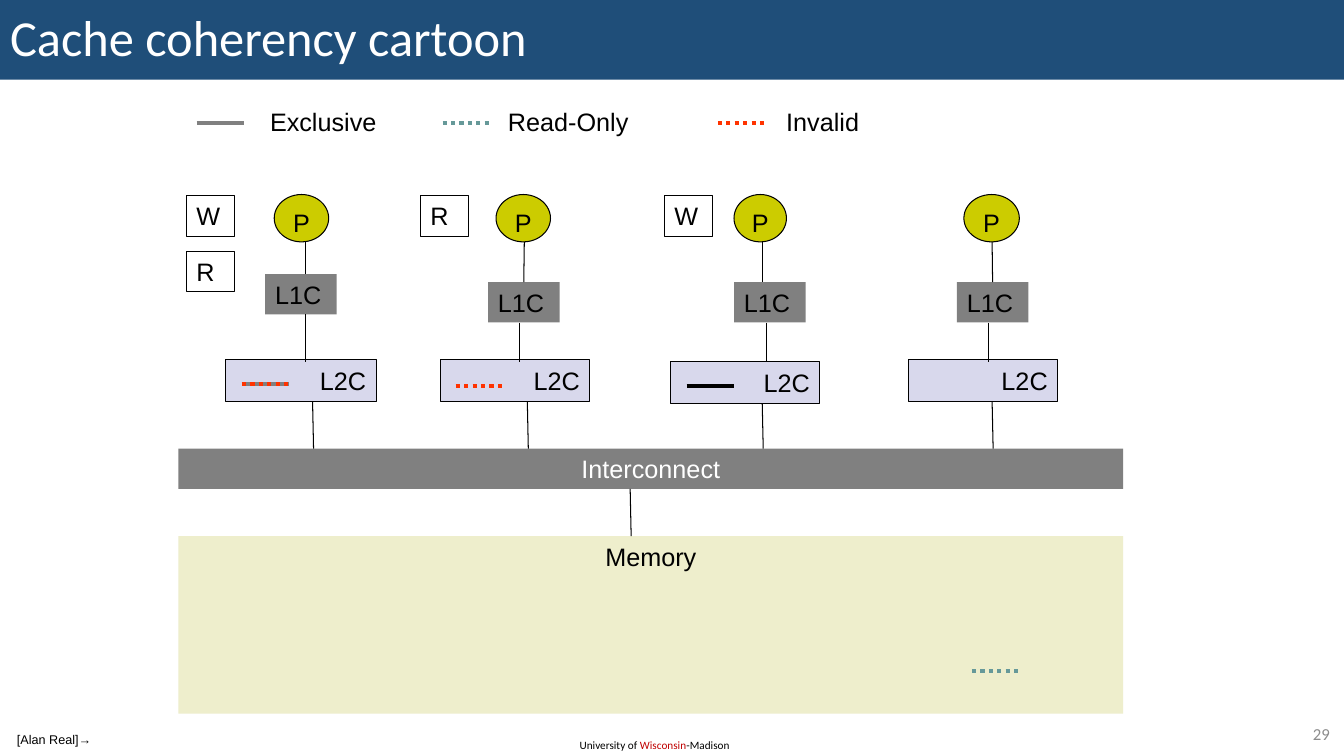
from lxml import etree
from pptx import Presentation
from pptx.dml.color import RGBColor
from pptx.enum.dml import MSO_LINE as Dash
from pptx.enum.shapes import MSO_CONNECTOR as Wire, MSO_SHAPE as Shape
from pptx.enum.text import MSO_ANCHOR as Anchor, PP_ALIGN as Align
from pptx.oxml.ns import qn
from pptx.util import Inches, Pt

BLACK, WHITE, GRAY = "000000", "FFFFFF", "808080"
TEAL, RED = "669999", "FF3300"
L1_WIDTH, LABEL_HEIGHT, L2_HEIGHT = 0.71, 0.4, 0.41
CIRCLE_TOP, CIRCLE_HEIGHT = 1.93, 0.47
BUS_LEFT, BUS_WIDTH, BUS_TOP = 1.77, 9.37, 4.45
MARK_LENGTH = 0.47

deck = Presentation()
deck.slide_width, deck.slide_height = Inches(13.33), Inches(7.5)
page = deck.slides.add_slide(deck.slide_layouts[5])


def add_box(text, left, top, width, height, shape=Shape.RECTANGLE, fill=None,
            line=None, size=18, font="Arial", color=BLACK, align=Align.LEFT,
            anchor=Anchor.TOP, wrap=True, box=None):
    """Add a labelled shape, or format the given one; text may be (text, colour) pairs."""
    area = [Inches(n) for n in (left, top, width, height)]
    if box is None:
        box = page.shapes.add_shape(shape, *area) if fill else page.shapes.add_textbox(*area)
    box.left, box.top, box.width, box.height = area
    if fill:
        box.fill.solid()
        box.fill.fore_color.rgb = RGBColor.from_string(fill)
        if line:
            box.line.color.rgb = RGBColor.from_string(BLACK)
            box.line.width = Pt(line)
        else:
            box.line.fill.background()
        if not box.is_placeholder:
            box.shadow.inherit = False
    frame = box.text_frame
    frame.word_wrap = wrap
    frame.vertical_anchor = anchor
    para = frame.paragraphs[0]
    para.alignment = align
    for words, shade in [(text, color)] if isinstance(text, str) else text:
        span = para.add_run()
        span.text = words
        span.font.size, span.font.name = Pt(size), font
        span.font.color.rgb = RGBColor.from_string(shade)
    return box


def add_line(x1, y1, x2, y2, color=BLACK, width=0.75, dash=None):
    line = page.shapes.add_connector(Wire.STRAIGHT, *[Inches(n) for n in (x1, y1, x2, y2)])
    line.line.color.rgb = RGBColor.from_string(color)
    line.line.width = Pt(width)
    if dash:
        line.line.dash_style = dash
    etree.SubElement(line._element.spPr, qn("a:effectLst"))
    return line


# Title and footer
title = add_box("Cache coherency cartoon", 0, 0, 13.33, 0.79, fill="1F4E79", size=36,
                font="Calibri", color=WHITE, anchor=Anchor.MIDDLE, box=page.shapes.title)
title.text_frame.paragraphs[0].line_spacing = 0.9
add_box([("University of ", BLACK), ("Wisconsin", "C00000"), ("-Madison", BLACK)],
        5.65, 7.28, 1.72, 0.24, size=8, font="Calibri")
add_box("29", 12.53, 7.13, 0.76, 0.29, size=12, font="Calibri", color="8C8C8C",
        align=Align.RIGHT, anchor=Anchor.MIDDLE)
add_box("[Alan Real]→", 0.07, 7.21, 0.94, 0.25, size=9, wrap=False)

# Legend
for label, label_left in (("Exclusive", 2.58), ("Read-Only", 4.94), ("Invalid", 7.7)):
    add_box(label, label_left, 1.01, 1.5, LABEL_HEIGHT)

# Interconnect and memory
add_box("Interconnect", BUS_LEFT, BUS_TOP, BUS_WIDTH, LABEL_HEIGHT, fill=GRAY,
        color=WHITE, align=Align.CENTER)
add_box("Memory", BUS_LEFT, 5.32, BUS_WIDTH, 1.76, fill="EEEECC", align=Align.CENTER)
add_line(6.25, 4.85, 6.26, 5.32)

# Processors: circle left and width, L1 left and top, L2 left, top and width,
# then the x of the wires above L1, below L1 and below L2
processors = [
    (2.72, 0.54, 2.63, 2.72, 2.24, 3.57, 1.49, 3.03, 3.03, 3.1),
    (4.92, 0.54, 4.84, 2.8, 4.37, 3.57, 1.48, 5.2, 5.15, 5.23),
    (7.28, 0.52, 7.28, 2.8, 6.65, 3.59, 1.48, 7.56, 7.6, 7.56),
    (9.56, 0.55, 9.49, 2.8, 9.01, 3.57, 1.48, 9.84, 9.8, 9.84),
]
for (circle_left, circle_width, l1_left, l1_top, l2_left, l2_top, l2_width,
     upper_x, middle_x, lower_x) in processors:
    circle = add_box("P", circle_left, CIRCLE_TOP, circle_width, CIRCLE_HEIGHT, Shape.OVAL,
                     fill="CCCC00", line=0.75, align=Align.CENTER, anchor=Anchor.MIDDLE,
                     wrap=False)
    frame = circle.text_frame
    frame.margin_left = frame.margin_right = frame.margin_bottom = 0
    frame.margin_top = Inches(0.09)
    l1_cache = add_box("L1C", l1_left, l1_top, L1_WIDTH, LABEL_HEIGHT, fill=GRAY)
    add_box("L2C", l2_left, l2_top, l2_width, L2_HEIGHT, fill="D8D8EC", line=0.75,
            align=Align.RIGHT)
    upper_wire = add_line(upper_x, CIRCLE_TOP + CIRCLE_HEIGHT, upper_x, l1_top)
    if abs(upper_x - l1_left - L1_WIDTH / 2) < 0.02:
        upper_wire.end_connect(l1_cache, 0)
    add_line(middle_x, l1_top + LABEL_HEIGHT, middle_x, 3.59)
    add_line(lower_x, l2_top + L2_HEIGHT, lower_x + 0.01, BUS_TOP)

# Read and write requests
for request, left, top in (("W", 1.85, 1.94), ("R", 1.85, 2.49),
                           ("R", 4.17, 1.94), ("W", 6.59, 1.94)):
    add_box(request, left, top, 0.47, LABEL_HEIGHT, fill=WHITE, line=0.25)

# Cache line states: legend, L2 caches, memory
for left, y, color, dash in (
        (1.95, 1.22, GRAY, None), (4.39, 1.22, TEAL, Dash.ROUND_DOT),
        (7.12, 1.22, RED, Dash.ROUND_DOT), (2.4, 3.81, GRAY, None),
        (2.4, 3.81, RED, Dash.ROUND_DOT), (4.52, 3.83, RED, Dash.ROUND_DOT),
        (6.81, 3.83, BLACK, None), (9.64, 6.66, TEAL, Dash.ROUND_DOT)):
    add_line(left, y, left + MARK_LENGTH, y, color, 3, dash)

deck.save("out.pptx")
